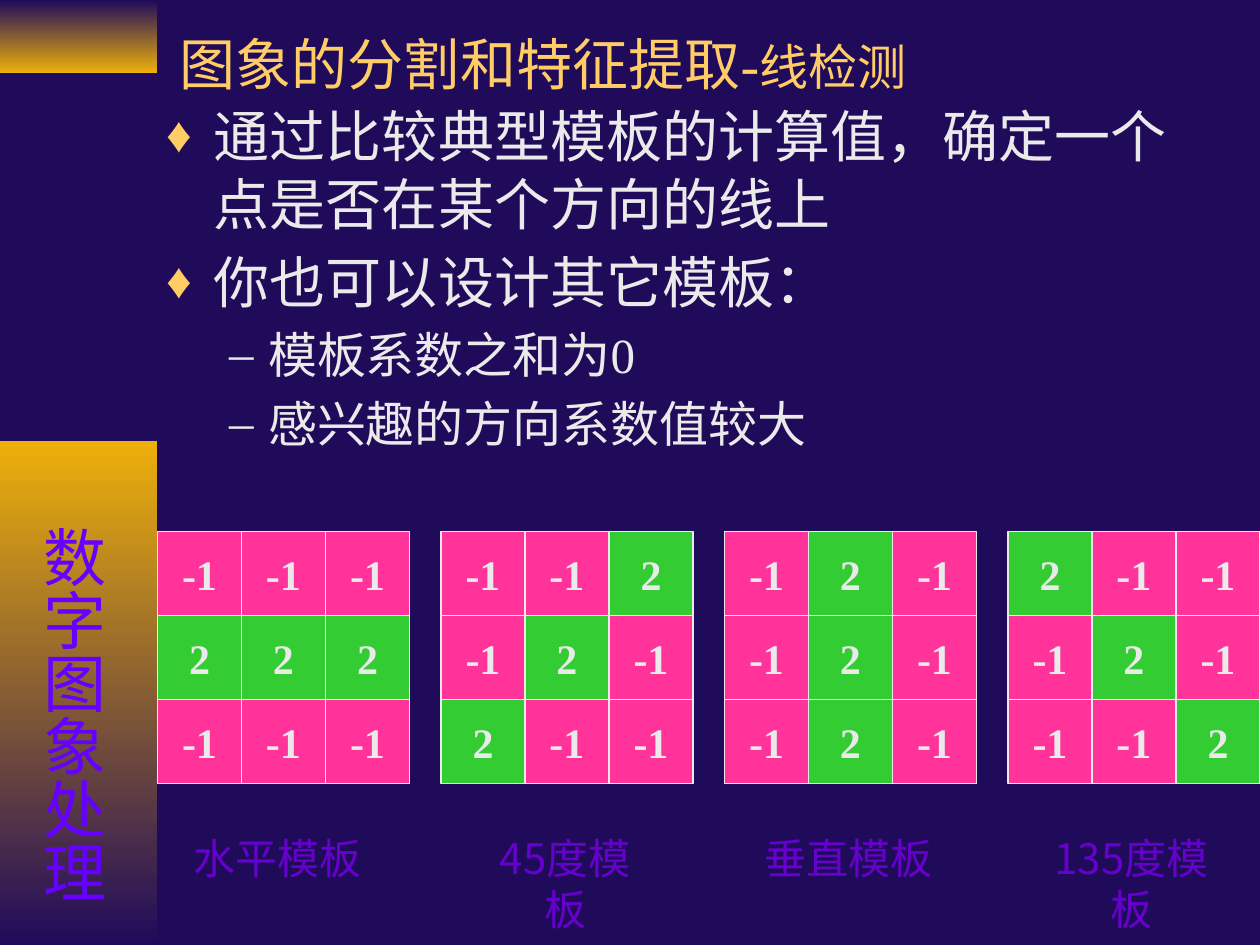
from dataclasses import dataclass

from lxml.etree import SubElement
from pptx import Presentation
from pptx.dml.color import RGBColor
from pptx.enum.shapes import MSO_SHAPE
from pptx.enum.text import MSO_ANCHOR, PP_ALIGN
from pptx.oxml.ns import qn
from pptx.util import Inches, Pt


@dataclass(frozen=True)
class Theme:
    """Colours, fonts and type sizes of the slide."""
    navy: str = "200B5B"
    gold: str = "EEB00B"
    accent: str = "FFCC66"
    light: str = "EAEAEA"
    pink: str = "FF3399"
    green: str = "33CC33"
    caption: str = "6600CC"
    side: str = "6600FF"
    serif: str = "Times New Roman"
    sans: str = "Noto Sans CJK SC"
    large: int = 32
    medium: int = 28
    small: int = 24
    side_size: int = 36


THEME = Theme()
BULLETS = [
    ("通过比较典型模板的计算值，确定一个点是否在某个方向的线上", 0),
    ("你也可以设计其它模板：", 0),
    ("模板系数之和为0", 1),
    ("感兴趣的方向系数值较大", 1),
]
TEMPLATES = [
    ("水平模板", 0.19, 1.53, lambda row, column: row == 1),
    ("45度模板", 0.22, 1.53, lambda row, column: row + column == 2),
    ("垂直模板", 0.22, 1.53, lambda row, column: column == 1),
    ("135度模板", 0.13, 1.7, lambda row, column: row == column),
]
GRID_LEFT, GRID_TOP, GRID_STEP = 1.25, 4.22, 2.25
CELL = 2 / 3


def style(font, size, colour, name=THEME.serif, bold=False):
    """Set the look of a font."""
    font.size = Pt(size)
    font.name = name
    font.bold = bold
    font.color.rgb = RGBColor.from_string(colour)


def add_box(shapes, left, top, width, height):
    """Add a wrapping text box."""
    box = shapes.add_textbox(Inches(left), Inches(top), Inches(width), Inches(height))
    box.text_frame.word_wrap = True
    return box


def add_rectangle(shapes, left, top, width, height):
    """Add a rectangle without shadow."""
    shape = shapes.add_shape(MSO_SHAPE.RECTANGLE, Inches(left), Inches(top), Inches(width), Inches(height))
    shape.shadow.inherit = False
    return shape


def add_band(shapes, top, height, colours):
    """Add a side band that fades from top to bottom."""
    band = add_rectangle(shapes, 0, top, 1.25, height)
    band.line.fill.background()
    band.fill.gradient()
    band.fill.gradient_angle = 270
    for stop, position, colour in zip(band.fill.gradient_stops, (0, 1), colours):
        stop.position = position
        stop.color.rgb = RGBColor.from_string(colour)


def add_title(shapes):
    """Add the title in two type sizes."""
    frame = add_box(shapes, 1.33, 0.33, 8.5, 0.74).text_frame
    frame.vertical_anchor = MSO_ANCHOR.MIDDLE
    frame.margin_bottom = Inches(0.45)
    para = frame.paragraphs[0]
    for text, size in (("图象的分割和特征提取-", THEME.large), ("线检测", THEME.medium)):
        span = para.add_run()
        span.text = text
        style(span.font, size, THEME.accent)


def add_bullet(para, level):
    """Give a paragraph the indent and bullet of its level."""
    left, hanging, mark = ((0.38, 0.38, "♦"), (0.81, 0.31, "–"))[level]
    para.level = level
    properties = para._p.get_or_add_pPr()
    properties.set("marL", str(Inches(left)))
    properties.set("indent", str(-Inches(hanging)))
    if level == 0:
        colour = SubElement(properties, qn("a:buClr"))
        SubElement(colour, qn("a:srgbClr")).set("val", THEME.accent)
        SubElement(properties, qn("a:buSzPct")).set("val", "90000")
    SubElement(properties, qn("a:buFont")).set("typeface", THEME.serif)
    SubElement(properties, qn("a:buChar")).set("char", mark)


def add_body(shapes):
    """Add the bulleted text."""
    frame = add_box(shapes, 1.22, 0.76, 8.5, 3.31).text_frame
    for index, (text, level) in enumerate(BULLETS):
        para = frame.add_paragraph() if index else frame.paragraphs[0]
        size = (THEME.large, THEME.medium)[level]
        para.text = text
        if index:
            para.space_before = Pt(size * 0.2)
        add_bullet(para, level)
        style(para.font, size, THEME.light)


def add_cell(shapes, left, top, on_line):
    """Add one coefficient of a template."""
    cell = add_rectangle(shapes, left, top, CELL, CELL)
    cell.fill.solid()
    cell.fill.fore_color.rgb = RGBColor.from_string(THEME.green if on_line else THEME.pink)
    cell.line.color.rgb = RGBColor.from_string(THEME.light)
    cell.line.width = Pt(0.75)
    frame = cell.text_frame
    frame.word_wrap = False
    frame.vertical_anchor = MSO_ANCHOR.MIDDLE
    para = frame.paragraphs[0]
    para.text = "2" if on_line else "-1"
    para.alignment = PP_ALIGN.CENTER
    style(para.font, THEME.small, THEME.light, bold=True)


def add_template(shapes, left, name, offset, width, is_on_line):
    """Add a three by three template with its caption as a group."""
    members = shapes.add_group_shape().shapes
    for row in range(3):
        for column in range(3):
            add_cell(members, left + column * CELL, GRID_TOP + row * CELL, is_on_line(row, column))
    para = add_box(members, left + offset, 6.56, width, 0.5).text_frame.paragraphs[0]
    para.text = name
    para.alignment = PP_ALIGN.CENTER
    style(para.font, THEME.small, THEME.caption, THEME.sans)


def add_side_title(shapes):
    """Add the vertical course name."""
    box = add_box(shapes, 0.13, 4.08, 0.8, 3.42)
    box.element.txBody.bodyPr.set("vert", "eaVert")
    para = box.text_frame.paragraphs[0]
    para.text = "数字图象处理"
    style(para.font, THEME.side_size, THEME.side)


def main():
    """Build and save the slide."""
    deck = Presentation()
    deck.slide_width, deck.slide_height = Inches(10), Inches(7.5)
    page = deck.slides.add_slide(deck.slide_layouts[6])
    page.background.fill.solid()
    page.background.fill.fore_color.rgb = RGBColor.from_string(THEME.navy)
    add_band(page.shapes, 0, 0.58, (THEME.navy, THEME.gold))
    add_band(page.shapes, 3.5, 4, (THEME.gold, THEME.navy))
    add_title(page.shapes)
    add_body(page.shapes)
    for index, template in enumerate(TEMPLATES):
        add_template(page.shapes, GRID_LEFT + index * GRID_STEP, *template)
    add_side_title(page.shapes)
    deck.save("out.pptx")


if __name__ == "__main__":
    main()
